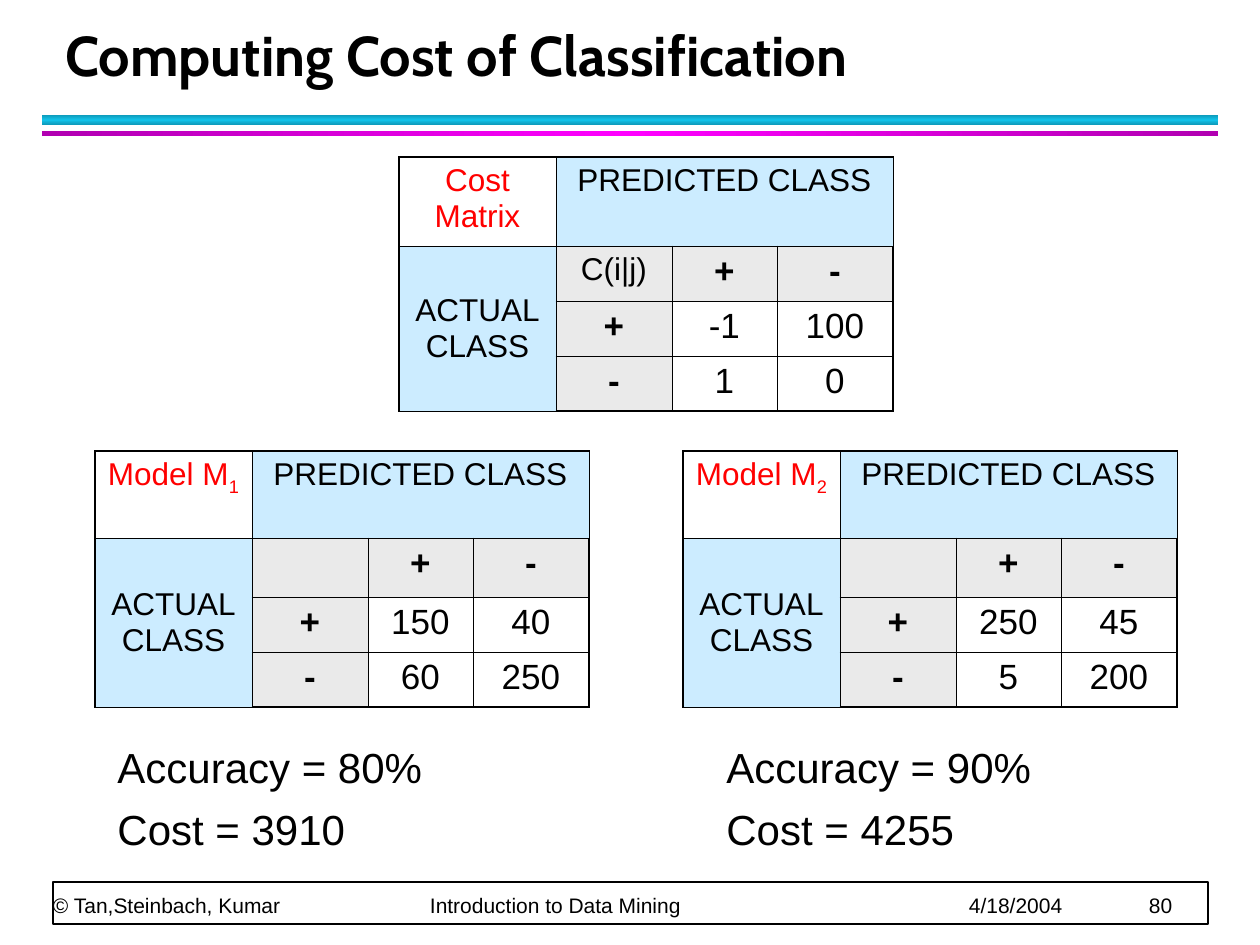
from dataclasses import dataclass
from copy import deepcopy

from lxml import etree
from pptx import Presentation
from pptx.dml.color import RGBColor
from pptx.enum.shapes import MSO_SHAPE
from pptx.enum.text import MSO_ANCHOR, PP_ALIGN
from pptx.oxml.ns import qn
from pptx.util import Emu, Pt

RECT = MSO_SHAPE.RECTANGLE
TOP, MIDDLE, BOTTOM = MSO_ANCHOR.TOP, MSO_ANCHOR.MIDDLE, MSO_ANCHOR.BOTTOM
CENTER = PP_ALIGN.CENTER
SCALE = 914400 / 126  # EMU in one px


@dataclass(frozen=True)
class Theme:
    black: str = "000000"
    white: str = "FFFFFF"
    red: str = "FF0000"
    blue: str = "CCECFF"
    gray: str = "EAEAEA"
    cyan: tuple = ("0E9AB9", "12C2E9", "0E9AB9")
    pink: tuple = ("B100B1", "FF00FF", "B100B1")
    head: str = "Cabin"
    body: str = "Arial"
    title: int = 32
    result: int = 24
    value: int = 20
    label: int = 18
    foot: int = 12
    thin: float = 0.45
    thick: float = 1.08


THEME = Theme()
COLS = (157, 116, 105, 116)


def px(num):
    return Emu(round(num * SCALE))


def rgb(code):
    return RGBColor.from_string(code)


def style(para, size, color=THEME.black, bold=False, face=THEME.body):
    for run in para.runs:
        font = run.font
        font.name, font.size, font.bold = face, Pt(size), bold
        font.color.rgb = rgb(color)


def add_rect(slide, *box):
    shape = slide.shapes.add_shape(RECT, *map(px, box))
    shape.shadow.inherit = False
    return shape


def add_bar(slide, box, colors, angle):
    bar = add_rect(slide, *box)
    bar.line.fill.background()
    bar.fill.gradient()
    bar.fill.gradient_angle = angle
    # A third stop makes the gradient symmetric
    stops = bar._element.find(".//" + qn("a:gsLst"))
    stops.append(deepcopy(stops[0]))
    for stop, place, color in zip(bar.fill.gradient_stops, (0, 0.5, 1), colors):
        stop.position = place
        stop.color.rgb = rgb(color)


def add_text(slide, box, text, anchor=TOP):
    frame = slide.shapes.add_textbox(*map(px, box)).text_frame
    frame.word_wrap = True
    frame.vertical_anchor = anchor
    frame.text = text
    return frame


def add_title(slide, text):
    para = add_text(slide, (53, 21, 1142, 73), text, BOTTOM).paragraphs[0]
    para.line_spacing = Pt(36)
    style(para, THEME.title, bold=True, face=THEME.head)


def add_result(slide, left, text):
    for para in add_text(slide, (left, 735, 420, 136), text).paragraphs:
        para.space_before, para.space_after = Pt(3), Pt(4)
        style(para, THEME.result)


def add_footer(slide, parts, stops):
    frame_box = add_rect(slide, 53, 882, 1155, 42)
    frame_box.fill.solid()
    frame_box.fill.fore_color.rgb = rgb(THEME.white)
    frame_box.line.color.rgb = rgb(THEME.black)
    frame_box.line.width = Pt(1)

    frame = add_text(slide, (53, 847, 1153, 71), "\t".join(parts), BOTTOM)
    frame.margin_left = frame.margin_right = 0
    frame.margin_top = frame.margin_bottom = 0
    para = frame.paragraphs[0]
    para.line_spacing = Pt(20)
    style(para, THEME.foot)
    tabs = etree.SubElement(para._p.get_or_add_pPr(), qn("a:tabLst"))
    for stop in stops:
        etree.SubElement(tabs, qn("a:tab"), pos=str(px(stop)), algn="l")


def set_border(cell, row, col):
    edges = {"lnL": col == 0, "lnR": col == 3, "lnT": row == 0, "lnB": row == 3}
    props = cell._tc.get_or_add_tcPr()
    for tag, outer in edges.items():
        width = Pt(THEME.thick if outer else THEME.thin)
        line = etree.SubElement(props, qn("a:" + tag), w=str(width))
        fill = etree.SubElement(line, qn("a:solidFill"))
        etree.SubElement(fill, qn("a:srgbClr"), val=THEME.black)


def set_fill(cell, row, col):
    if row == col == 0 or (row > 1 and col > 1):
        cell.fill.background()
    else:
        cell.fill.solid()
        band = row == 0 or col == 0
        cell.fill.fore_color.rgb = rgb(THEME.blue if band else THEME.gray)


def set_cell(cell, row, col, text):
    cell.text = text
    para = cell.text_frame.paragraphs[0]
    para.alignment = CENTER
    label = row == 0 or col == 0 or row == col == 1
    para.space_before, para.space_after = Pt(2.2 if label else 2.5), Pt(4)
    if label:
        style(para, THEME.label, THEME.red if row == col == 0 else THEME.black)
    else:
        style(para, THEME.value, bold=row == 1 or col == 1)


def add_matrix(slide, left, top, rows, name, corner, values, sub=""):
    box = map(px, (left, top, sum(COLS), sum(rows)))
    table = slide.shapes.add_table(4, 4, *box).table
    table.first_row = table.horz_banding = False
    for col, width in zip(table.columns, COLS):
        col.width = px(width)
    for row, height in zip(table.rows, rows):
        row.height = px(height)

    grid = [
        [name, "PREDICTED CLASS", "", ""],
        ["ACTUAL\vCLASS", corner, "+", "-"],
        ["", "+", *values[:2]],
        ["", "-", *values[2:]],
    ]
    for r, line in enumerate(grid):
        for c, text in enumerate(line):
            cell = table.cell(r, c)
            set_border(cell, r, c)
            set_fill(cell, r, c)
            set_cell(cell, r, c, text)
    table.cell(0, 1).merge(table.cell(0, 3))
    table.cell(1, 0).merge(table.cell(3, 0))
    table.cell(1, 0).vertical_anchor = MIDDLE

    # Model number as a subscript
    if sub:
        para = table.cell(0, 0).text_frame.paragraphs[0]
        run = para.add_run()
        run.text = sub
        style(para, THEME.label, THEME.red)
        run.font._element.set("baseline", "-25000")


def main():
    deck = Presentation()
    deck.slide_width, deck.slide_height = px(1260), px(945)
    slide = deck.slides.add_slide(deck.slide_layouts[6])

    # Rules under the title, and the footer
    add_bar(slide, (42, 115, 1176, 10), THEME.cyan, 90)
    add_bar(slide, (42, 131, 1176, 5), THEME.pink, 0)
    add_footer(
        slide,
        ("© Tan,Steinbach, Kumar", "Introduction to Data Mining", "4/18/2004", "80"),
        (377, 916, 1096),
    )
    add_title(slide, "Computing Cost of Classification")

    # Cost matrix
    add_matrix(slide, 399, 157, (89, 55, 55, 55), "Cost Matrix", "C(i|j)",
               ("-1", "100", "1", "0"))

    # Models with their results
    models = (
        (95, 105, "1", ("150", "40", "60", "250"), "Accuracy = 80%\nCost = 3910"),
        (683, 714, "2", ("250", "45", "5", "200"), "Accuracy = 90%\nCost = 4255"),
    )
    for left, edge, sub, values, result in models:
        add_matrix(slide, left, 451, (87, 59, 55, 55), "Model M", "", values, sub)
        add_result(slide, edge, result)

    deck.save("out.pptx")


if __name__ == "__main__":
    main()
